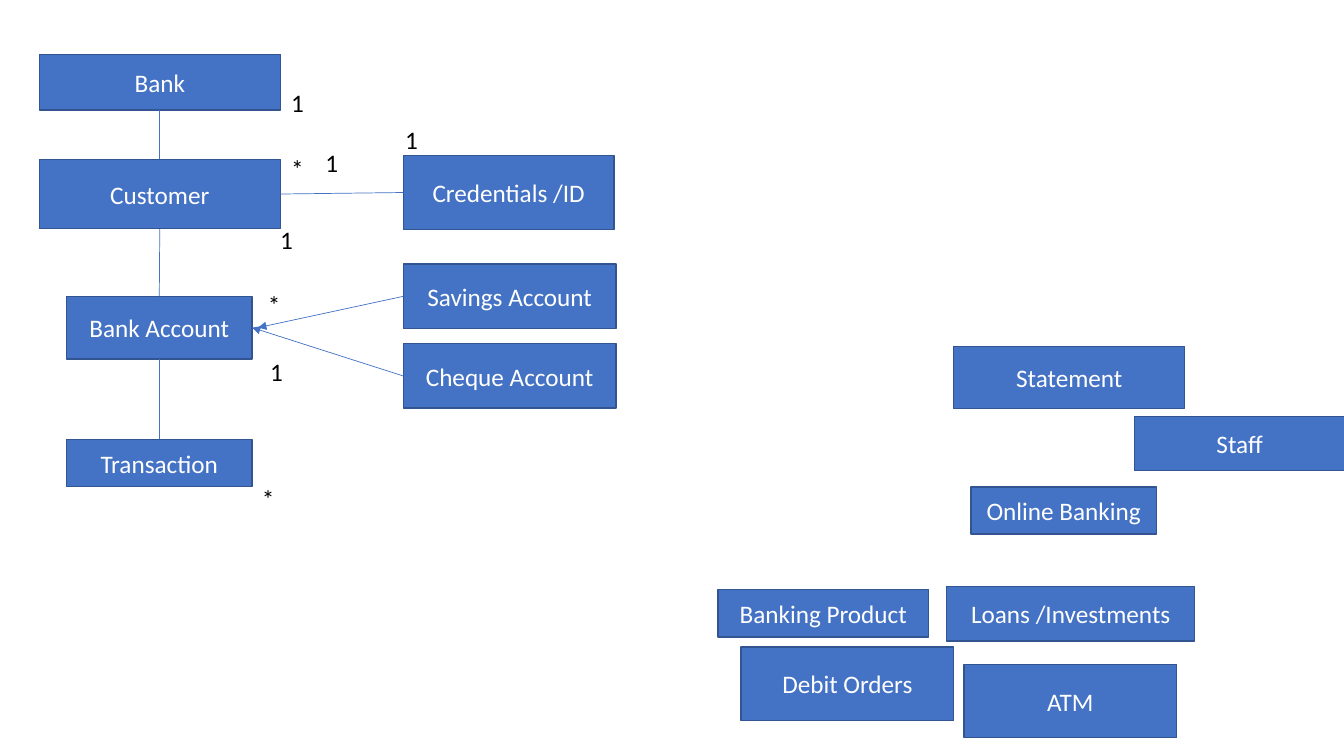
"""Build a banking domain model slide with linked entities and multiplicities."""
import pptx
import pptx.dml.color
import pptx.enum.shapes
import pptx.enum.text
import pptx.oxml
import pptx.oxml.ns
import pptx.util

Inches, Pt = pptx.util.Inches, pptx.util.Pt
RGB = pptx.dml.color.RGBColor.from_string
ALIGN = pptx.enum.text.PP_ALIGN
ANCHOR = pptx.enum.text.MSO_ANCHOR

THEME = {
    "font": "Calibri", "size": 18, "fill": "4472C4", "edge": "325491",
    "box_text": "FFFFFF", "label_text": "000000",
    "edge_width": 1, "link_width": 0.5,
}

ENTITIES = {
    "Credentials /ID": (4, 1.54, 2.09, 0.74),
    "Bank Account": (0.66, 2.94, 1.84, 0.62),
    "Staff": (11.25, 4.13, 2.09, 0.54),
    "ATM": (9.56, 6.59, 2.11, 0.73),
    "Transaction": (0.66, 4.36, 1.84, 0.47),
    "Debit Orders": (7.35, 6.42, 2.11, 0.73),
    "Savings Account": (4, 2.62, 2.11, 0.64),
    "Cheque Account": (4, 3.41, 2.11, 0.64),
    "Statement": (9.46, 3.44, 2.29, 0.61),
    "Banking Product": (7.12, 5.85, 2.09, 0.47),
    "Loans /Investments": (9.39, 5.82, 2.46, 0.54),
    "Online Banking": (9.63, 4.83, 1.84, 0.47),
    "Bank": (0.39, 0.54, 2.39, 0.55),
    "Customer": (0.39, 1.58, 2.39, 0.69),
}

TOP, LEFT, BOTTOM, RIGHT = range(4)
ASSOCIATIONS = [
    ("Bank", BOTTOM, "Customer", TOP),
    ("Customer", BOTTOM, "Bank Account", TOP),
    ("Bank Account", BOTTOM, "Transaction", TOP),
    ("Customer", RIGHT, "Credentials /ID", LEFT),
]
SUBTYPES = [("Savings Account", (2.56, 3.25)), ("Cheque Account", None)]

MULTIPLICITIES = [
    ("1", 2.79, 0.82), ("*", 2.79, 1.47), ("1", 2.68, 2.18), ("*", 2.56, 2.82),
    ("1", 3.13, 1.41), ("1", 3.92, 1.18), ("1", 2.58, 3.49), ("*", 2.5, 4.75),
]
LABEL_SIZE = (0.5, 0.4)


def write(sp, text, color, align, **frame):
    tf = sp.text_frame
    for name, value in {"word_wrap": True, **frame}.items():
        setattr(tf, name, value)
    p = tf.paragraphs[0]
    p.alignment = align
    r = p.add_run()
    r.text = text
    for name, value in {"name": THEME["font"], "size": Pt(THEME["size"])}.items():
        setattr(r.font, name, value)
    r.font.color.rgb = RGB(color)


def add_entity(s, name, bounds):
    sp = s.shapes.add_shape(pptx.enum.shapes.MSO_SHAPE.RECTANGLE, *map(Inches, bounds))
    sp.shadow.inherit = False
    sp.fill.solid()
    sp.fill.fore_color.rgb = RGB(THEME["fill"])
    sp.line.color.rgb = RGB(THEME["edge"])
    sp.line.width = Pt(THEME["edge_width"])
    write(sp, name, THEME["box_text"], ALIGN.CENTER, vertical_anchor=ANCHOR.MIDDLE)
    return sp


def add_link(s, start, start_side, end, end_side, tip=None, arrow=False):
    x, y = map(Inches, tip or (0, 0))
    c = s.shapes.add_connector(pptx.enum.shapes.MSO_CONNECTOR.STRAIGHT, x, y, x, y)
    c.begin_connect(start, start_side)
    if tip is None:
        c.end_connect(end, end_side)
    c.line.color.rgb = RGB(THEME["fill"])
    c.line.width = Pt(THEME["link_width"])
    if arrow:
        head = pptx.oxml.parse_xml(f'<a:tailEnd {pptx.oxml.ns.nsdecls("a")} type="triangle"/>')
        c.line._get_or_add_ln().append(head)
    c._element.spPr.append(pptx.oxml.parse_xml(f'<a:effectLst {pptx.oxml.ns.nsdecls("a")}/>'))


def main():
    prs = pptx.Presentation()
    prs.slide_width, prs.slide_height = Inches(13.33), Inches(7.5)
    s = prs.slides.add_slide(prs.slide_layouts[6])
    boxes = {name: add_entity(s, name, bounds) for name, bounds in ENTITIES.items()}
    for start, start_side, end, end_side in ASSOCIATIONS:
        add_link(s, boxes[start], start_side, boxes[end], end_side)
    for text, x, y in MULTIPLICITIES:
        sp = s.shapes.add_textbox(*map(Inches, (x, y, *LABEL_SIZE)))
        write(sp, text, THEME["label_text"], ALIGN.LEFT,
              auto_size=pptx.enum.text.MSO_AUTO_SIZE.SHAPE_TO_FIT_TEXT)
    for subtype, tip in SUBTYPES:
        add_link(s, boxes[subtype], LEFT, boxes["Bank Account"], RIGHT, tip, arrow=True)
    prs.save("out.pptx")


if __name__ == "__main__":
    main()
